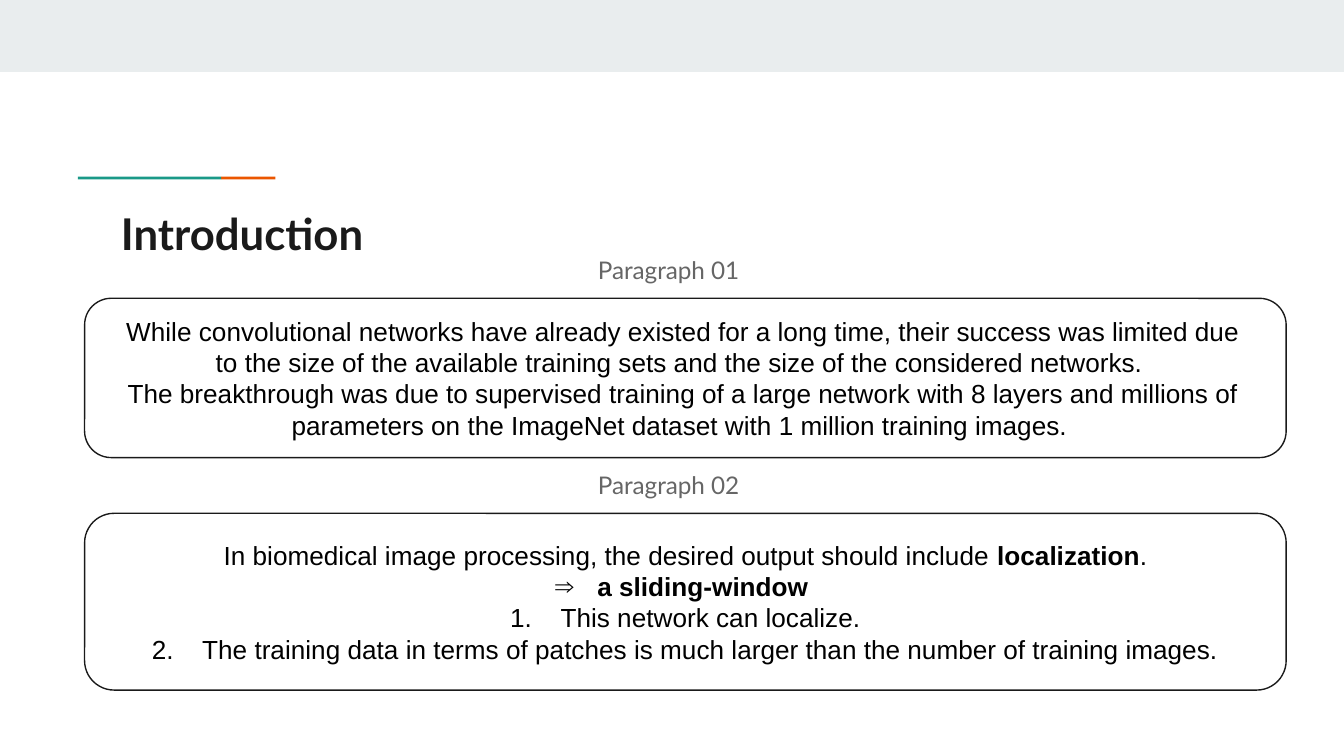
from dataclasses import dataclass

from lxml import etree
from pptx import Presentation
from pptx.dml.color import RGBColor
from pptx.enum.shapes import MSO_SHAPE
from pptx.enum.text import MSO_ANCHOR, MSO_AUTO_SIZE, PP_ALIGN
from pptx.oxml.ns import qn
from pptx.util import Pt

RECTANGLE = MSO_SHAPE.RECTANGLE
ROUNDED = MSO_SHAPE.ROUNDED_RECTANGLE
LEFT = PP_ALIGN.LEFT
CENTER = PP_ALIGN.CENTER
TOP = MSO_ANCHOR.TOP
MIDDLE = MSO_ANCHOR.MIDDLE
NO_AUTOFIT = MSO_AUTO_SIZE.NONE

EMU_PER_PX = 4572
SLIDE_WIDTH = 2000
SLIDE_HEIGHT = 1125
TITLE_ONLY = 5
INK = "1A1A1A"
GRAY = "666666"
BLACK = "000000"
BODY_FONT = "Arial"
HEADING_FONT = "Lato"


@dataclass(frozen=True)
class Box:
    left: int
    top: int
    width: int
    height: int


@dataclass(frozen=True)
class Style:
    font: str
    size: float
    color: str
    align: PP_ALIGN = LEFT


@dataclass(frozen=True)
class Run:
    text: str
    bold: bool = False


@dataclass(frozen=True)
class Line:
    runs: tuple[Run, ...]
    bullet: str = ""
    indent: int = 0


@dataclass(frozen=True)
class Bar:
    box: Box
    color: str


TITLE = Style(HEADING_FONT, 23.4, INK)
LABEL = Style(HEADING_FONT, 13, GRAY)
BODY = Style(BODY_FONT, 14, BLACK, CENTER)

BARS = (
    Bar(Box(0, 0, SLIDE_WIDTH, 107), "E9EDEE"),
    Bar(Box(329, 263, 81, 4), "EB5600"),
    Bar(Box(116, 263, 213, 4), "1A9988"),
)
LABELS = (("Paragraph 01", 360), ("Paragraph 02", 680))
FIRST_FRAME = Box(126, 444, 1788, 237)
SECOND_FRAME = Box(126, 764, 1788, 263)

HISTORY = (
    Line((Run("While convolutional networks have already existed for a long time, "
              "their success was limited due to the size of the available training "
              "sets and the size of the considered networks. "),)),
    Line((Run("The breakthrough was due to supervised training of a large network "
              "with 8 layers and millions of parameters on the ImageNet dataset "
              "with 1 million training images. "),)),
)
LOCALIZATION = (
    Line((Run("In biomedical image processing, the desired output should include "),
          Run("localization", True), Run("."))),
    Line((Run("a sliding-window ", True),), "⇒", 63),
    Line((Run("This network can localize."),), "1.", 75),
    Line((Run("The training data in terms of patches is much larger than the "
              "number of training images."),), "1.", 75),
)


def px(length: int) -> int:
    return length * EMU_PER_PX


def rgb(color: str) -> RGBColor:
    return RGBColor.from_string(color)


def place(shape, box: Box) -> None:
    shape.left, shape.top = px(box.left), px(box.top)
    shape.width, shape.height = px(box.width), px(box.height)


def add_bullet(paragraph, line: Line) -> None:
    properties = paragraph._p.get_or_add_pPr()
    properties.set("marL", str(px(line.indent)))
    properties.set("indent", str(-px(line.indent)))
    bullet_color = etree.SubElement(properties, qn("a:buClr"))
    etree.SubElement(bullet_color, qn("a:srgbClr"), val=BLACK)
    etree.SubElement(properties, qn("a:buFont"), typeface=BODY_FONT)
    if line.bullet == "1.":
        etree.SubElement(properties, qn("a:buAutoNum"), type="arabicPeriod")
    else:
        etree.SubElement(properties, qn("a:buChar"), char=line.bullet)


def write(shape, lines: tuple[Line, ...], style: Style,
          anchor: MSO_ANCHOR = TOP, vertical_inset: int = 20) -> None:
    frame = shape.text_frame
    frame.word_wrap = True
    frame.auto_size = NO_AUTOFIT
    frame.vertical_anchor = anchor
    frame.margin_left = frame.margin_right = px(20)
    frame.margin_top = frame.margin_bottom = px(vertical_inset)
    for index, line in enumerate(lines):
        paragraph = frame.add_paragraph() if index else frame.paragraphs[0]
        paragraph.alignment = style.align
        if line.bullet:
            add_bullet(paragraph, line)
        for part in line.runs:
            run = paragraph.add_run()
            run.text = part.text
            run.font.name = style.font
            run.font.size = Pt(style.size)
            run.font.bold = part.bold
            run.font.color.rgb = rgb(style.color)


def add_bar(slide, bar: Bar) -> None:
    shape = slide.shapes.add_shape(RECTANGLE, 0, 0, 0, 0)
    place(shape, bar.box)
    shape.shadow.inherit = False
    shape.fill.solid()
    shape.fill.fore_color.rgb = rgb(bar.color)
    shape.line.fill.background()


def add_frame(slide, box: Box):
    shape = slide.shapes.add_shape(ROUNDED, 0, 0, 0, 0)
    place(shape, box)
    shape.shadow.inherit = False
    shape.fill.background()
    shape.line.color.rgb = rgb(INK)
    shape.line.width = Pt(0.75)
    return shape


def add_text(slide, box: Box, lines: tuple[Line, ...], style: Style,
             vertical_inset: int = 20) -> None:
    shape = slide.shapes.add_textbox(0, 0, 0, 0)
    place(shape, box)
    write(shape, lines, style, vertical_inset=vertical_inset)


def main() -> None:
    presentation = Presentation()
    presentation.slide_width = px(SLIDE_WIDTH)
    presentation.slide_height = px(SLIDE_HEIGHT)
    slide = presentation.slides.add_slide(presentation.slide_layouts[TITLE_ONLY])

    for bar in BARS:
        add_bar(slide, bar)
    title = slide.shapes.title
    place(title, Box(160, 288, 1682, 118))
    write(title, (Line((Run("Introduction", True),)),), TITLE)
    for text, top in LABELS:
        add_text(slide, Box(870, top, 458, 84), (Line((Run(text),)),), LABEL)

    add_frame(slide, FIRST_FRAME)
    add_text(slide, Box(160, 459, 1714, 208), HISTORY, BODY, 10)
    write(add_frame(slide, SECOND_FRAME), LOCALIZATION, BODY, MIDDLE)

    presentation.save("out.pptx")


if __name__ == "__main__":
    main()
